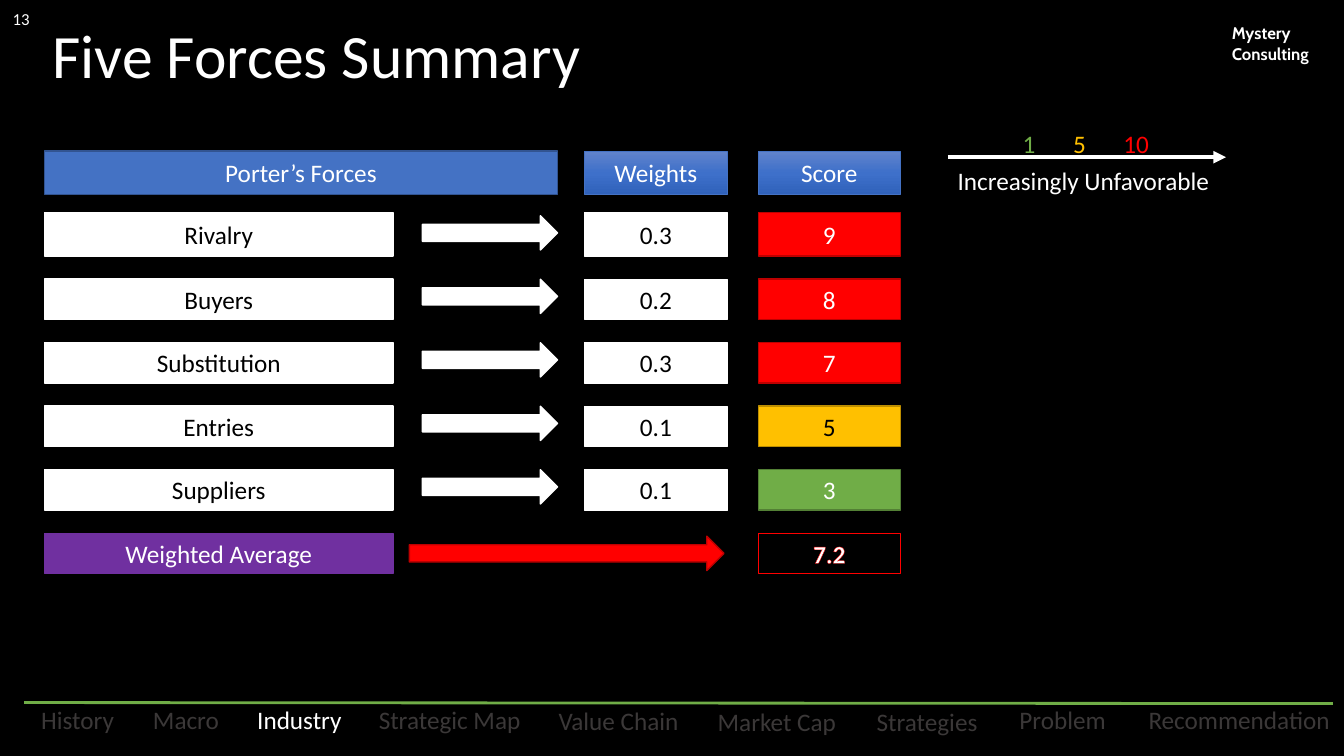
from copy import deepcopy
from dataclasses import dataclass

from lxml import etree
from pptx import Presentation
from pptx.dml.color import RGBColor
from pptx.enum.shapes import MSO_CONNECTOR, MSO_SHAPE
from pptx.enum.text import MSO_ANCHOR, PP_ALIGN
from pptx.oxml.ns import qn
from pptx.shapes.autoshape import Shape
from pptx.slide import Slide
from pptx.text.text import Font
from pptx.util import Inches, Pt

RECTANGLE = MSO_SHAPE.RECTANGLE
ROUNDED = MSO_SHAPE.ROUNDED_RECTANGLE
RIGHT_ARROW = MSO_SHAPE.RIGHT_ARROW
STRAIGHT = MSO_CONNECTOR.STRAIGHT
MIDDLE, TOP = MSO_ANCHOR.MIDDLE, MSO_ANCHOR.TOP
CENTER, LEFT = PP_ALIGN.CENTER, PP_ALIGN.LEFT


@dataclass(frozen=True)
class Theme:
    font: str = "Calibri"
    firm_font: str = "Cabin"
    title_size: float = 44
    body_size: float = 18
    small_size: float = 12
    black: str = "000000"
    white: str = "FFFFFF"
    muted: str = "3B3838"
    red: str = "FF0000"
    dark_red: str = "BD0000"
    amber: str = "FFC000"
    dark_amber: str = "BD8E00"
    green: str = "70AD47"
    dark_green: str = "538035"
    purple: str = "7030A0"
    blue: str = "4472C4"
    dark_blue: str = "325491"
    header_gradient: tuple[str, ...] = ("6183CB", "3E70CA", "3062BB")


THEME = Theme()


@dataclass(frozen=True)
class Box:
    left: float
    top: float
    width: float
    height: float

    def lengths(self) -> tuple[int, ...]:
        return tuple(Inches(n) for n in (self.left, self.top, self.width, self.height))


@dataclass(frozen=True)
class Rating:
    fill: str
    line: str
    text: str


@dataclass(frozen=True)
class Force:
    name: str
    weight: str
    score: str
    rating: Rating


@dataclass(frozen=True)
class Section:
    name: str
    width: float
    top: float = 6.98


HIGH = Rating(THEME.red, THEME.dark_red, THEME.white)
MEDIUM = Rating(THEME.amber, THEME.dark_amber, THEME.black)
LOW = Rating(THEME.green, THEME.dark_green, THEME.white)

FORCES = [
    Force("Rivalry", "0.3", "9", HIGH),
    Force("Buyers", "0.2", "8", HIGH),
    Force("Substitution", "0.3", "7", HIGH),
    Force("Entries", "0.1", "5", MEDIUM),
    Force("Suppliers", "0.1", "3", LOW),
]
SECTIONS = [
    Section("History", 0.98), Section("Macro", 0.93), Section("Industry", 1.08),
    Section("Strategic Map", 1.66), Section("Value Chain", 1.45, 6.99),
    Section("Market Cap", 1.45, 7), Section("Strategies", 1.29, 7),
    Section("Problem", 1.16), Section("Recommendation", 2.1),
]
CURRENT_SECTION = "Industry"
SECTION_GAP = 0.12

NAME_LEFT, NAME_WIDTH = 0.44, 3.46
ARROW_LEFT, ARROW_WIDTH, ARROW_HEIGHT = 4.19, 1.34, 0.34
WEIGHT_LEFT, SCORE_LEFT, VALUE_WIDTH = 5.8, 7.52, 1.41
HEADER_TOP, TALL_ROW, ROW = 1.5, 0.43, 0.4
FIRST_ROW, FIRST_ARROW, ROW_STEP = 2.11, 2.14, 0.63


def style_font(font: Font, color: str, size: float = THEME.body_size,
               name: str = THEME.font, bold: bool = False) -> None:
    font.name, font.size, font.bold = name, Pt(size), bold
    font.color.rgb = RGBColor.from_string(color)


def add_box(slide: Slide, box: Box, fill: str | None, line: str | None, text: str = "",
            color: str = THEME.white, weight: float = 1, kind: MSO_SHAPE = RECTANGLE) -> Shape:
    shape = slide.shapes.add_shape(kind, *box.lengths())
    shape.shadow.inherit = False
    if fill:
        shape.fill.solid()
        shape.fill.fore_color.rgb = RGBColor.from_string(fill)
    else:
        shape.fill.background()
    if line:
        shape.line.color.rgb = RGBColor.from_string(line)
        shape.line.width = Pt(weight)
    else:
        shape.line.fill.background()
    if text:
        frame = shape.text_frame
        frame.text = text
        frame.vertical_anchor = MIDDLE
        frame.paragraphs[0].alignment = CENTER
        style_font(frame.paragraphs[0].runs[0].font, color)
    return shape


def add_header(slide: Slide, left: float, text: str) -> None:
    box = Box(left, HEADER_TOP, VALUE_WIDTH, TALL_ROW)
    shape = add_box(slide, box, None, THEME.blue, text, weight=0.5)
    shape.fill.gradient()
    shape.fill.gradient_angle = 270
    stop_list = shape._element.spPr.find(qn("a:gradFill")).find(qn("a:gsLst"))
    stop_list.insert(1, deepcopy(stop_list[0]))
    for index, (stop, color) in enumerate(zip(shape.fill.gradient_stops, THEME.header_gradient)):
        stop.color.rgb = RGBColor.from_string(color)
        stop.position = index / 2


def add_label(slide: Slide, box: Box, parts: list[tuple[str, str]], align: PP_ALIGN = LEFT,
              anchor: MSO_ANCHOR = TOP, size: float = THEME.body_size,
              name: str = THEME.font, bold: bool = False) -> None:
    frame = slide.shapes.add_textbox(*box.lengths()).text_frame
    frame.word_wrap = True
    frame.vertical_anchor = anchor
    paragraph = frame.paragraphs[0]
    paragraph.alignment = align
    for text, color in parts:
        run = paragraph.add_run()
        run.text = text
        style_font(run.font, color, size, name, bold)


def add_line(slide: Slide, start: tuple[float, float], end: tuple[float, float],
             color: str, weight: float, arrow: bool = False) -> None:
    connector = slide.shapes.add_connector(STRAIGHT, *(Inches(n) for n in start + end))
    connector.line.color.rgb = RGBColor.from_string(color)
    connector.line.width = Pt(weight)
    properties = connector._element.spPr
    if arrow:
        etree.SubElement(properties.find(qn("a:ln")), qn("a:tailEnd"), type="triangle")
    etree.SubElement(properties, qn("a:effectLst"))


def add_footer(slide: Slide) -> None:
    add_line(slide, (0.24, 6.97), (13.22, 6.98), THEME.green, 2)
    left = 0.28
    for section in SECTIONS:
        color = THEME.white if section.name == CURRENT_SECTION else THEME.muted
        box = Box(left, section.top, section.width, 0.32)
        shape = add_box(slide, box, None, None, section.name, color, kind=ROUNDED)
        shape.text_frame.word_wrap = False
        left += section.width + SECTION_GAP


def add_title(slide: Slide) -> None:
    title = slide.shapes.title
    title.left, title.top, title.width, title.height = Box(0.42, 0.18, 7.7, 0.8).lengths()
    title.text_frame.text = "Five Forces Summary"
    title.text_frame.vertical_anchor = MIDDLE
    paragraph = title.text_frame.paragraphs[0]
    paragraph.alignment, paragraph.line_spacing = LEFT, 0.9
    style_font(paragraph.runs[0].font, THEME.white, THEME.title_size)


def add_forces(slide: Slide) -> None:
    add_box(slide, Box(NAME_LEFT, HEADER_TOP, 5.09, TALL_ROW), THEME.blue, THEME.dark_blue,
            "Porter’s Forces")
    add_header(slide, WEIGHT_LEFT, "Weights")
    add_header(slide, SCORE_LEFT, "Score")
    for index, force in enumerate(FORCES):
        arrow_top = FIRST_ARROW + index * ROW_STEP
        top, height = (arrow_top, ROW) if index else (FIRST_ROW, TALL_ROW)
        add_box(slide, Box(NAME_LEFT, top, NAME_WIDTH, height), THEME.white, THEME.white,
                force.name, THEME.black)
        add_box(slide, Box(ARROW_LEFT, arrow_top, ARROW_WIDTH, ARROW_HEIGHT), THEME.white,
                THEME.white, kind=RIGHT_ARROW)
        add_box(slide, Box(WEIGHT_LEFT, top, VALUE_WIDTH, height), THEME.white, THEME.white,
                force.weight, THEME.black, 0.5)
        rating = force.rating
        add_box(slide, Box(SCORE_LEFT, top, VALUE_WIDTH, height), rating.fill, rating.line,
                force.score, rating.text)


def add_average(slide: Slide) -> None:
    top = FIRST_ARROW + len(FORCES) * ROW_STEP
    add_box(slide, Box(NAME_LEFT, top, NAME_WIDTH, ROW), THEME.purple, THEME.purple,
            "Weighted Average")
    add_box(slide, Box(4.06, top + 0.03, 3.12, ARROW_HEIGHT), THEME.red, THEME.dark_red,
            kind=RIGHT_ARROW)
    total = add_box(slide, Box(SCORE_LEFT, top, VALUE_WIDTH, ROW), None, THEME.red, "7.2",
                    weight=0.75)
    run = total.text_frame.paragraphs[0].runs[0]
    run.font.bold = True
    # Red outline around the digits
    outline = etree.Element(qn("a:ln"), w=str(Pt(0.52)))
    fill = etree.SubElement(outline, qn("a:solidFill"))
    etree.SubElement(fill, qn("a:srgbClr"), val=THEME.red)
    run._r.get_or_add_rPr().insert(0, outline)


def add_scale(slide: Slide) -> None:
    add_line(slide, (9.4, 1.56), (12.16, 1.56), THEME.white, 3, arrow=True)
    add_label(slide, Box(9.4, 1.59, 2.76, 0.29), [("Increasingly Unfavorable", THEME.white)])
    add_label(slide, Box(9.39, 1.22, 2.76, 0.29),
              [("1\t", THEME.green), ("5\t", THEME.amber), ("10", THEME.red)], CENTER)


def main() -> None:
    presentation = Presentation()
    presentation.slide_width, presentation.slide_height = Inches(13.33), Inches(7.5)
    slide = presentation.slides.add_slide(presentation.slide_layouts[5])
    slide.background.fill.solid()
    slide.background.fill.fore_color.rgb = RGBColor.from_string(THEME.black)

    # Frame of the slide
    add_footer(slide)
    add_label(slide, Box(12.12, 0.18, 1.1, 0.5), [("Mystery Consulting", THEME.white)],
              size=THEME.small_size, name=THEME.firm_font, bold=True)
    add_title(slide)
    add_label(slide, Box(0, -0.01, 0.42, 0.4), [("13", THEME.white)], CENTER, MIDDLE,
              THEME.small_size)

    # Scoring grid and its scale
    add_forces(slide)
    add_average(slide)
    add_scale(slide)
    presentation.save("out.pptx")


if __name__ == "__main__":
    main()
